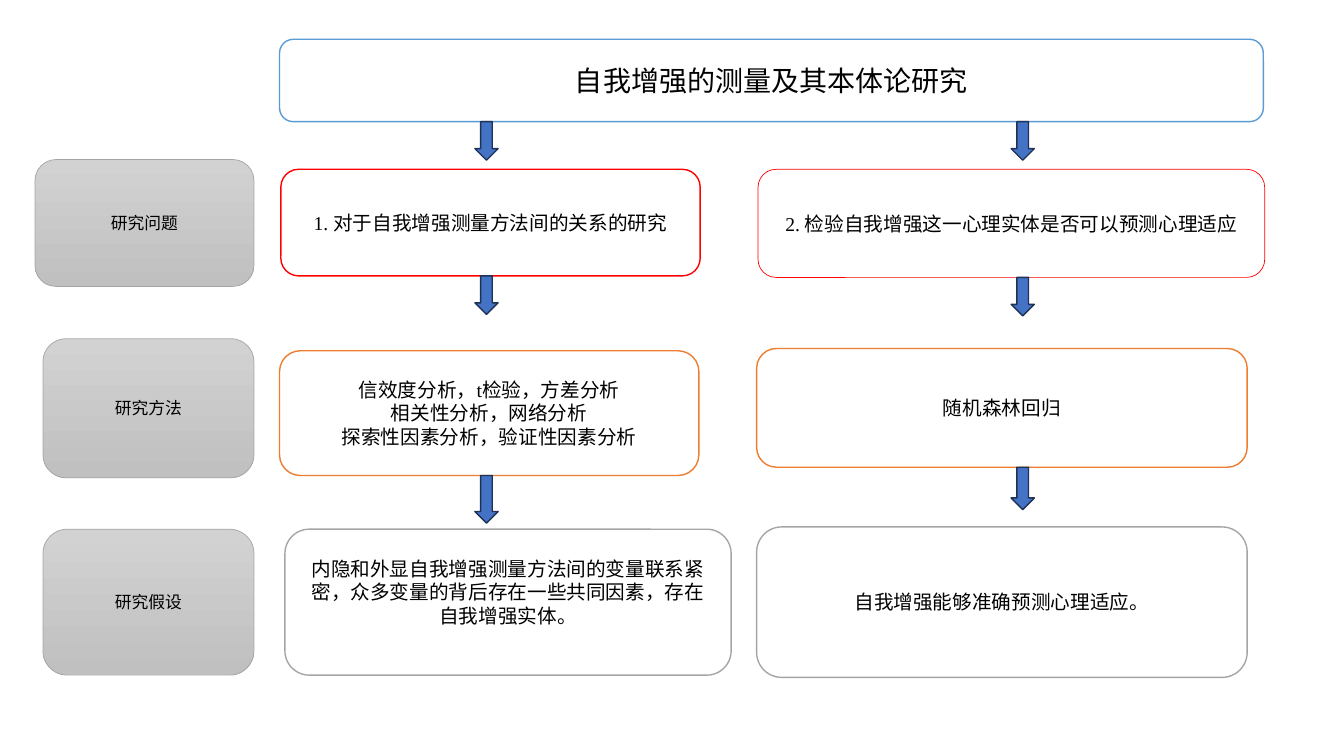
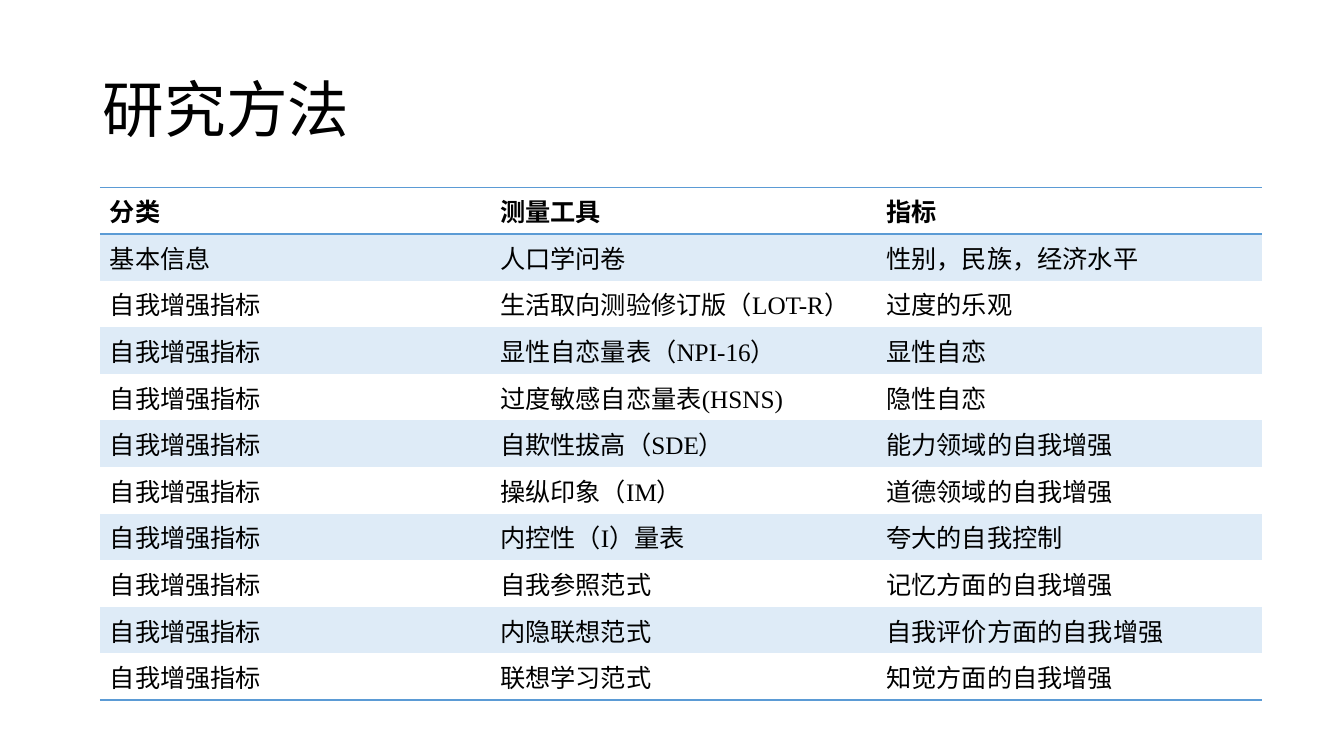
"""Build two slides: a study framework flowchart and a table of research measures."""
from dataclasses import dataclass

from lxml import etree
from pptx import Presentation
from pptx.dml.color import RGBColor
from pptx.enum.shapes import MSO_SHAPE
from pptx.enum.text import MSO_ANCHOR, PP_ALIGN
from pptx.oxml.ns import qn
from pptx.util import Inches, Pt

ROUNDED, DOWN_ARROW = MSO_SHAPE.ROUNDED_RECTANGLE, MSO_SHAPE.DOWN_ARROW
MIDDLE, CENTER, LEFT = MSO_ANCHOR.MIDDLE, PP_ALIGN.CENTER, PP_ALIGN.LEFT


@dataclass(frozen=True)
class Theme:
    font: str = "Times New Roman"
    text: str = "000000"
    paper: str = "FFFFFF"
    blue: str = "5B9BD5"
    band: str = "DEEBF7"
    red: str = "FF0000"
    orange: str = "ED7D31"
    gray: str = "A5A5A5"
    label_top: str = "D2D2D2"
    label_bottom: str = "C0C0C0"
    arrow: str = "4472C4"
    arrow_edge: str = "1E3256"
    title_size: int = 44
    topic_size: int = 20
    table_size: int = 18
    box_size: int = 14
    label_size: int = 12
    thin: float = 0.5
    normal: float = 1


THEME = Theme()
NO_TABLE_STYLE = "{2D5ABB26-0587-4C30-8999-92F81FD0307C}"

deck = Presentation()
deck.slide_width, deck.slide_height = Inches(13.33), Inches(7.5)
COLUMN, ROW = deck.slide_width / 100, deck.slide_height / 100


def write(frame, lines, size, align, bold=False):
    for number, line in enumerate(lines):
        paragraph = frame.add_paragraph() if number else frame.paragraphs[0]
        paragraph.alignment = align
        run = paragraph.add_run()
        run.text = line
        run.font.name, run.font.size, run.font.bold = THEME.font, Pt(size), bold
        run.font.color.rgb = RGBColor.from_string(THEME.text)


def draw(slide, kind, place, fill, edge, weight):
    left, top, width, height = place
    shape = slide.shapes.add_shape(
        kind, round(left * COLUMN), round(top * ROW), round(width * COLUMN), round(height * ROW))
    shape.shadow.inherit = False
    shape.fill.solid()
    shape.fill.fore_color.rgb = RGBColor.from_string(fill)
    shape.line.color.rgb = RGBColor.from_string(edge)
    shape.line.width = Pt(weight)
    shape.text_frame.word_wrap = True
    shape.text_frame.vertical_anchor = MIDDLE
    return shape


framework = deck.slides.add_slide(deck.slide_layouts[6])

TOPIC_PLACE = (20.8, 5.2, 73.2, 10.9)
topic = draw(framework, ROUNDED, TOPIC_PLACE, THEME.paper, THEME.blue, THEME.normal)
write(topic.text_frame, ["自我增强的测量及其本体论研究"], THEME.topic_size, CENTER)

STAGES = [
    ("研究问题", (2.6, 21.1, 16.3, 16.8)),
    ("研究方法", (3.2, 44.8, 15.7, 18.4)),
    ("研究假设", (3.2, 70, 15.7, 19.3)),
]
for stage, place in STAGES:
    label = draw(framework, ROUNDED, place, THEME.label_top, THEME.gray, THEME.thin)
    label.fill.gradient()
    label.fill.gradient_angle = 270
    for stop, shade in zip(label.fill.gradient_stops, (THEME.label_top, THEME.label_bottom)):
        stop.color.rgb = RGBColor.from_string(shade)
    write(label.text_frame, [stage], THEME.label_size, CENTER)

ARROW_WIDTH, ARROW_HEIGHT = 1.73, 5.1
STUDIES = [
    (36.2, 6.3, [
        ((20.9, 22.4, 31.2, 14.1), THEME.red, THEME.normal, ["1. 对于自我增强测量方法间的关系的研究"]),
        ((20.8, 46.4, 31.2, 16.5), THEME.orange, THEME.normal,
         ["信效度分析，t检验，方差分析", "相关性分析，网络分析", "探索性因素分析，验证性因素分析"]),
        ((21.2, 70, 33.2, 19.3), THEME.gray, THEME.normal,
         ["内隐和外显自我增强测量方法间的变量联系紧密，众多变量的背后存在一些共同因素，存在自我增强实体。"]),
    ]),
    (76.1, 5.6, [
        ((56.4, 22.4, 37.7, 14.3), THEME.red, THEME.thin, ["2. 检验自我增强这一心理实体是否可以预测心理适应"]),
        ((56.3, 46.1, 36.5, 15.7), THEME.orange, THEME.normal, ["随机森林回归"]),
        ((56.3, 69.7, 36.5, 19.9), THEME.gray, THEME.normal, ["自我增强能够准确预测心理适应。"]),
    ]),
]
for axis, last_height, steps in STUDIES:
    arrow_top = TOPIC_PLACE[1] + TOPIC_PLACE[3]
    for number, (place, edge, weight, lines) in enumerate(steps):
        step = draw(framework, ROUNDED, place, THEME.paper, edge, weight)
        write(step.text_frame, lines, THEME.box_size, CENTER)
        arrow_height = last_height if number == 2 else ARROW_HEIGHT
        draw(framework, DOWN_ARROW, (axis - ARROW_WIDTH / 2, arrow_top, ARROW_WIDTH, arrow_height),
             THEME.arrow, THEME.arrow_edge, THEME.normal)
        arrow_top = place[1] + place[3]
    if len(lines[0]) > 30:
        step.text_frame.margin_bottom = Inches(0.25)

methods = deck.slides.add_slide(deck.slide_layouts[5])
heading = methods.shapes.title
heading.left, heading.top = round(6.9 * COLUMN), round(5.3 * ROW)
heading.width, heading.height = round(86.3 * COLUMN), round(19.3 * ROW)
heading.text_frame.vertical_anchor = MIDDLE
write(heading.text_frame, ["研究方法"], THEME.title_size, LEFT)
heading.text_frame.paragraphs[0].line_spacing = 0.9

ENHANCEMENT = "自我增强指标"
MEASURES = [
    ("分类", "测量工具", "指标"),
    ("基本信息", "人口学问卷", "性别，民族，经济水平"),
    (ENHANCEMENT, "生活取向测验修订版（LOT-R）", "过度的乐观"),
    (ENHANCEMENT, "显性自恋量表（NPI-16）", "显性自恋"),
    (ENHANCEMENT, "过度敏感自恋量表(HSNS)", "隐性自恋"),
    (ENHANCEMENT, "自欺性拔高（SDE）", "能力领域的自我增强"),
    (ENHANCEMENT, "操纵印象（IM）", "道德领域的自我增强"),
    (ENHANCEMENT, "内控性（I）量表", "夸大的自我控制"),
    (ENHANCEMENT, "自我参照范式", "记忆方面的自我增强"),
    (ENHANCEMENT, "内隐联想范式", "自我评价方面的自我增强"),
    (ENHANCEMENT, "联想学习范式", "知觉方面的自我增强"),
]
LAST = len(MEASURES) - 1
RULES = {0: ("a:lnT", "a:lnB"), LAST: ("a:lnB",)}
COLUMN_SHARES = (29.03, 28.73, 28.73)

measures = methods.shapes.add_table(
    len(MEASURES), len(COLUMN_SHARES), round(7.43 * COLUMN), round(24.8 * ROW),
    round(sum(COLUMN_SHARES) * COLUMN), round(len(MEASURES) * 5.41 * ROW)).table
measures.first_row = measures.horz_banding = False
measures._tbl.tblPr.find(qn("a:tableStyleId")).text = NO_TABLE_STYLE
for column, share in zip(measures.columns, COLUMN_SHARES):
    column.width = round(share * COLUMN)

for row, entries in enumerate(MEASURES):
    for column, entry in enumerate(entries):
        cell = measures.cell(row, column)
        write(cell.text_frame, [entry], THEME.table_size, LEFT, bold=row == 0)
        for side in RULES.get(row, ()):
            rule = etree.SubElement(cell._tc.get_or_add_tcPr(), qn(side), w=str(Pt(THEME.normal)))
            paint = etree.SubElement(rule, qn("a:solidFill"))
            etree.SubElement(paint, qn("a:srgbClr"), val=THEME.blue)
        if row % 2:
            cell.fill.solid()
            cell.fill.fore_color.rgb = RGBColor.from_string(THEME.band)
        else:
            cell.fill.background()

deck.save("out.pptx")
